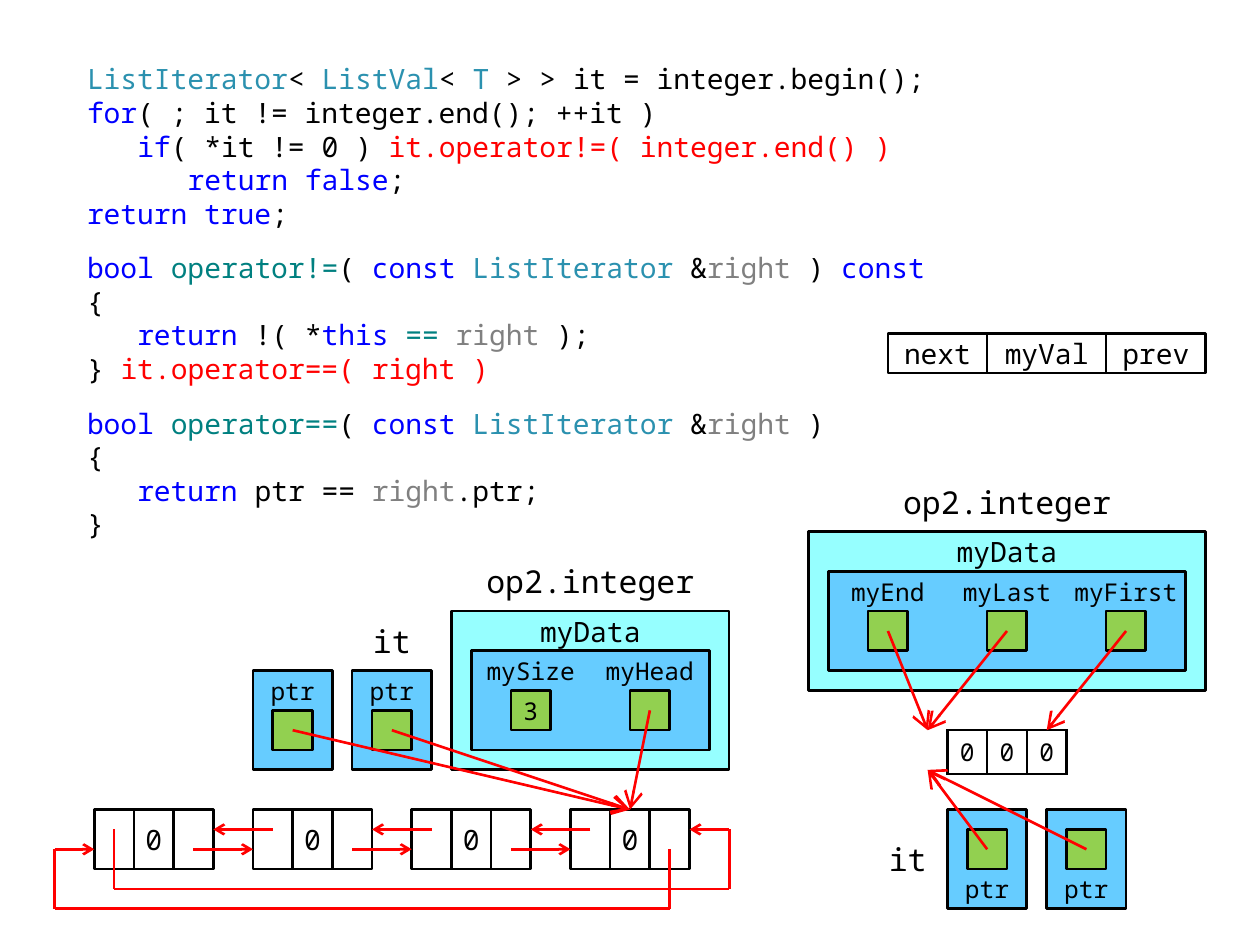
from lxml.etree import SubElement
from pptx import Presentation
from pptx.dml.color import RGBColor
from pptx.enum.shapes import MSO_CONNECTOR, MSO_SHAPE
from pptx.enum.text import MSO_ANCHOR, MSO_AUTO_SIZE, PP_ALIGN
from pptx.oxml.ns import qn
from pptx.util import Cm, Inches, Pt

FONT = "Noto Sans Mono"
COLOURS = {
    "plain": "000000", "type": "2B91AF", "key": "0000FF", "note": "FF0000",
    "oper": "008080", "param": "808080", "list": "96FFFF", "data": "66CCFF",
    "field": "92D050", "arrow": "FF0000",
}
# Grid: square steps of 0.4 cm, starting a little inside the page corner
STEP, GRID_LEFT, GRID_TOP = Cm(0.4), Cm(1.1), Cm(0.32)


def signature(operator, *ending):
    return [("bool ", "key"), (operator, "oper"), ("( ", "plain"),
            ("const ", "key"), ("ListIterator", "type"), (" &", "plain"),
            ("right", "param"), (" )", "plain"), *ending]


# Each block is a list of lines, each line a list of (text, colour)
CODE = [
    [
        [("ListIterator", "type"), ("< ", "plain"), ("ListVal", "type"),
         ("< ", "plain"), ("T", "type"),
         (" > > it = integer.begin();", "plain")],
        [("for", "key"), ("( ; it != integer.end(); ++it )", "plain")],
        [("   ", "plain"), ("if", "key"), ("( *it != 0 ) ", "plain"),
         ("it.operator!=( integer.end() )", "note")],
        [("      ", "plain"), ("return false", "key"), (";", "plain")],
        [("return true", "key"), (";", "plain")],
    ],
    [
        signature("operator!=", (" ", "plain"), ("const", "key")),
        [("{", "plain")],
        [("   ", "plain"), ("return", "key"), (" !( *", "plain"),
         ("this ", "key"), ("== ", "oper"), ("right", "param"),
         (" );", "plain")],
        [("} ", "plain"), ("it.operator==( right )", "note")],
    ],
    [
        signature("operator=="),
        [("{", "plain")],
        [("   ", "plain"), ("return ", "key"), ("ptr == ", "plain"),
         ("right", "param"), (".ptr;", "plain")],
        [("}", "plain")],
    ],
]


def colour(name):
    return RGBColor.from_string(COLOURS[name])


def spot(column, row):
    return GRID_LEFT + STEP * column, GRID_TOP + STEP * row


def style(font, size, name="plain"):
    font.name, font.size = FONT, Pt(size)
    font.color.rgb = colour(name)


def write(shape, text, size):
    frame = shape.text_frame
    frame.margin_left = frame.margin_right = 0
    frame.margin_top = frame.margin_bottom = 0
    frame.vertical_anchor = MSO_ANCHOR.MIDDLE
    frame.text = text
    para = frame.paragraphs[0]
    para.alignment = PP_ALIGN.CENTER
    style(para.runs[0].font, size)


def add_box(page, column, row, columns, rows, fill=None, text="", size=16):
    box = page.shapes.add_shape(MSO_SHAPE.RECTANGLE, *spot(column, row),
                                STEP * columns, STEP * rows)
    box.shadow.inherit = False
    if fill:
        box.fill.solid()
        box.fill.fore_color.rgb = colour(fill)
    else:
        box.fill.background()
    box.line.color.rgb = colour("plain")
    box.line.width = Pt(1.5)
    if text:
        write(box, text, size)
    return box


def add_label(page, column, row, columns, rows, text, size):
    label = page.shapes.add_textbox(*spot(column, row),
                                    STEP * columns, STEP * rows)
    label.text_frame.word_wrap = True
    write(label, text, size)


def add_line(page, start, end, head=None, target=None):
    """Straight line; head is the arrowhead size, "med" or "lg"."""
    line = page.shapes.add_connector(MSO_CONNECTOR.STRAIGHT,
                                     *spot(*start), *spot(*end))
    line.line.color.rgb = colour("arrow")
    line.line.width = Pt(1.5)
    if head:
        SubElement(line.line._get_or_add_ln(), qn("a:tailEnd"),
                   type="arrow", w=head, len=head)
    SubElement(line._element.spPr, qn("a:effectLst"))
    if target:
        line.end_connect(target, 0)


def add_code(page, left, top, width, height):
    body = page.placeholders[1]
    body.left, body.top, body.width, body.height = left, top, width, height
    frame = body.text_frame
    frame.auto_size = MSO_AUTO_SIZE.NONE
    for block_index, block in enumerate(CODE):
        for line_index, line in enumerate(block):
            first = block_index == line_index == 0
            para = frame.paragraphs[0] if first else frame.add_paragraph()
            properties = para._p.get_or_add_pPr()
            properties.set("marL", "0")
            properties.set("indent", "0")
            SubElement(properties, qn("a:buNone"))
            para.line_spacing = 1.0
            new_block = block_index and not line_index
            para.space_before = Pt(12 if new_block else 0)
            for text, name in line:
                span = para.add_run()
                span.text = text
                style(span.font, 16, name)


def add_node(page, column, row):
    """Three-part list node; returns its middle cell."""
    cells = [add_box(page, column + 2 * index, row, 2, 3, text=text)
             for index, text in enumerate(("", "0", ""))]
    return cells[1]


def add_chain(page, column, row):
    """Circular list of four nodes; returns the middle cell of the last."""
    starts = [column + 8 * index for index in range(4)]
    middles = [add_node(page, start, row) for start in starts]
    for start in starts[:-1]:
        add_line(page, (start + 5, row + 2), (start + 8, row + 2), "med")
        add_line(page, (start + 9, row + 1), (start + 6, row + 1), "med")
    # Loops that join the two ends of the list
    last = starts[-1]
    forward = [(last + 5, row + 2), (last + 5, row + 5),
               (column - 2, row + 5), (column - 2, row + 2), (column, row + 2)]
    backward = [(column + 1, row + 1), (column + 1, row + 4),
                (last + 8, row + 4), (last + 8, row + 1), (last + 6, row + 1)]
    for loop in (forward, backward):
        for index, head in enumerate((None, None, None, "med")):
            add_line(page, loop[index], loop[index + 1], head)
    return middles[-1]


def add_list(page, column, row, columns, fields):
    """List object with its fields; returns the centre of each square."""
    add_box(page, column, row, columns, 8, "list")
    add_label(page, column, row - 3, columns, 3, "op2.integer", 18)
    add_box(page, column + 1, row + 2, columns - 2, 5, "data")
    add_label(page, column, row, columns, 2, "myData", 16)
    centres = []
    for index, (name, value) in enumerate(fields):
        left = column + 1 + 6 * index
        add_label(page, left, row + 2, 6, 2, name, 14)
        add_box(page, left + 2, row + 4, 2, 2, "field", value, 14)
        centres.append((left + 3, row + 5))
    return centres


def add_iterator(page, column, row, label_row, square_row):
    """Iterator with its pointer; returns the centre of the square."""
    add_box(page, column, row, 4, 5, "data")
    add_label(page, column, row + label_row, 4, 2, "ptr", 14)
    add_box(page, column + 1, row + square_row, 2, 2, "field")
    return column + 2, row + square_row + 1


def add_values(page, column, row):
    table = page.shapes.add_table(1, 3, *spot(column, row),
                                  STEP * 6, Inches(0.35)).table
    table.first_row = table.horz_banding = False
    for index in range(3):
        table.columns[index].width = STEP * 2
        cell = table.cell(0, index)
        cell.text = "0"
        cell.vertical_anchor = MSO_ANCHOR.MIDDLE
        cell.margin_left = cell.margin_right = Inches(0.06)
        cell.margin_top = cell.margin_bottom = Inches(0.04)
        para = cell.text_frame.paragraphs[0]
        para.alignment = PP_ALIGN.CENTER
        style(para.runs[0].font, 14)
        properties = cell._tc.get_or_add_tcPr()
        for side in ("a:lnL", "a:lnR", "a:lnT", "a:lnB"):
            border = SubElement(properties, qn(side), w=str(Pt(1.5)))
            paint = SubElement(border, qn("a:solidFill"))
            SubElement(paint, qn("a:srgbClr"), val=COLOURS["plain"])
        cell.fill.background()


def main():
    deck = Presentation()
    deck.slide_width, deck.slide_height = Inches(10), Inches(7.5)
    page = deck.slides.add_slide(deck.slide_layouts[1])
    title = page.shapes.title._element
    title.getparent().remove(title)

    add_code(page, *spot(1, 2), STEP * 56, STEP * 27)

    # Parts of a node
    for column, columns, name in ((42, 5, "next"), (47, 6, "myVal"),
                                  (53, 5, "prev")):
        add_box(page, column, 16, columns, 2, text=name)

    # Linked list with its iterators
    head_cell = add_chain(page, 2, 40)
    _, head = add_list(page, 20, 30, 14, [("mySize", "3"), ("myHead", "")])
    add_label(page, 15, 30, 4, 3, "it", 18)
    pointers = [add_iterator(page, column, 33, 0, 2) for column in (10, 15)]
    for start in (head, *pointers):
        add_line(page, start, (29, 40), "lg", head_cell)

    # Array with its iterators
    add_values(page, 45, 36)
    ends = add_list(page, 38, 26, 20,
                    [("myEnd", ""), ("myLast", ""), ("myFirst", "")])
    for start, column in zip(ends, (44, 44, 50)):
        add_line(page, start, (column, 36), "lg")
    add_label(page, 41, 41, 4, 3, "it", 18)
    for column in (45, 50):
        start = add_iterator(page, column, 40, 3, 1)
        add_line(page, start, (44, 38), "lg")

    deck.save("out.pptx")


if __name__ == "__main__":
    main()
